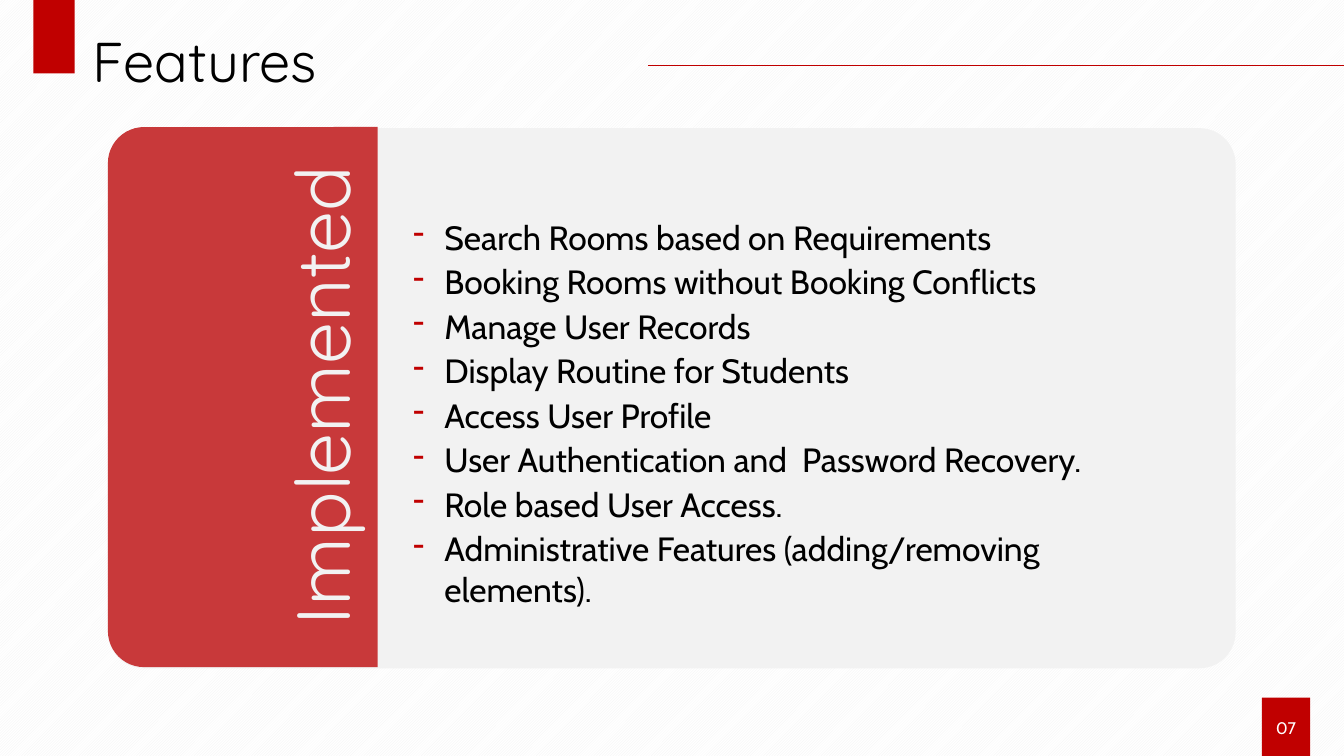
import pptx
import pptx.util
import pptx.dml.color
import pptx.enum.dml
import pptx.enum.shapes
import pptx.enum.text
import pptx.oxml
import pptx.oxml.ns
from lxml import etree

Cm = pptx.util.Cm
Pt = pptx.util.Pt
RGBColor = pptx.dml.color.RGBColor
SHAPE = pptx.enum.shapes.MSO_SHAPE
ALIGN = pptx.enum.text.PP_ALIGN
ANCHOR = pptx.enum.text.MSO_ANCHOR
qn = pptx.oxml.ns.qn

RED = RGBColor(0xC0, 0x00, 0x00)
PANEL_RED = RGBColor(0xC8, 0x39, 0x3A)
LIGHT_GREY = RGBColor(0xF2, 0xF2, 0xF2)
WHITE = RGBColor(0xFF, 0xFF, 0xFF)
BLACK = RGBColor(0x00, 0x00, 0x00)

FEATURES = [
    "Search Rooms based on Requirements",
    "Booking Rooms without Booking Conflicts",
    "Manage User Records",
    "Display Routine for Students",
    "Access User Profile",
    "User Authentication and  Password Recovery.",
    "Role based User Access.",
    "Administrative Features (adding/removing elements).",
]

presentation = pptx.Presentation()
presentation.slide_width = Cm(33.87)
presentation.slide_height = Cm(19.05)
slide = presentation.slides.add_slide(presentation.slide_layouts[6])

background = slide.background.fill
background.patterned()
background.pattern = pptx.enum.dml.MSO_PATTERN.DARK_UPWARD_DIAGONAL
background.fore_color.rgb = LIGHT_GREY
background.back_color.rgb = WHITE


def add_block(kind, left, top, width, height, color):
    shape = slide.shapes.add_shape(kind, Cm(left), Cm(top), Cm(width), Cm(height))
    shape.shadow.inherit = False
    shape.fill.solid()
    shape.fill.fore_color.rgb = color
    shape.line.fill.background()
    return shape


def add_text(left, top, width, height, lines, font, size, color):
    box = slide.shapes.add_textbox(Cm(left), Cm(top), Cm(width), Cm(height))
    frame = box.text_frame
    frame.word_wrap = True
    frame.auto_size = pptx.enum.text.MSO_AUTO_SIZE.SHAPE_TO_FIT_TEXT
    frame.margin_left = frame.margin_top = frame.margin_right = frame.margin_bottom = 0
    for index, line in enumerate(lines):
        paragraph = frame.add_paragraph() if index else frame.paragraphs[0]
        run = paragraph.add_run()
        run.text = line
        run.font.name = font
        run.font.size = Pt(size)
        run.font.color.rgb = color
    return box


title = add_text(2.34, 0.86, 29.21, 1.55, ["Features"], "Quicksand", 40, BLACK)
title.text_frame.paragraphs[0].line_spacing = 0.9

add_block(SHAPE.RECTANGLE, 0.84, 0, 1.04, 1.85, RED)

header_line = slide.shapes.add_connector(
    pptx.enum.shapes.MSO_CONNECTOR.STRAIGHT, Cm(16.33), Cm(1.65), Cm(33.87), Cm(1.65)
)
header_line.line.color.rgb = RED
header_line.line.width = Pt(0.5)
etree.SubElement(header_line._element.spPr, qn("a:effectLst"))

page_tag = add_block(SHAPE.RECTANGLE, 31.8, 17.58, 1.22, 1.52, RED)
page_tag.text_frame.vertical_anchor = ANCHOR.MIDDLE
page_paragraph = page_tag.text_frame.paragraphs[0]
page_paragraph.alignment = ALIGN.CENTER
page_number = page_paragraph.add_run()
page_number.text = "07"
page_number.font.name = "Cabin"
page_number.font.size = Pt(12)
page_number.font.color.rgb = WHITE

card = add_block(SHAPE.ROUNDED_RECTANGLE, 2.72, 3.23, 28.42, 13.61, LIGHT_GREY)
card.adjustments[0] = 0.067

panel_length, panel_depth = 13.61, 6.8
panel = add_block(
    SHAPE.ROUND_2_SAME_RECTANGLE,
    2.72 + (panel_depth - panel_length) / 2,
    3.2 + (panel_length - panel_depth) / 2,
    panel_length,
    panel_depth,
    PANEL_RED,
)
panel.rotation = 270
panel.adjustments[0] = 0.134

panel_label = add_text(1.4, 8.92, 13.61, 2.08, ["Implemented"], "Quicksand", 54, LIGHT_GREY)
panel_label.rotation = 270
panel_label.text_frame.vertical_anchor = ANCHOR.MIDDLE
panel_label.text_frame.paragraphs[0].alignment = ALIGN.CENTER
panel_label.text_frame.paragraphs[0].line_spacing = 0.9

feature_list = add_text(10.41, 5.46, 19.53, 8.97, FEATURES, "Cabin", 24, BLACK)
for paragraph in feature_list.text_frame.paragraphs:
    paragraph.space_before = Pt(3)
    properties = paragraph._p.get_or_add_pPr()
    properties.set("marL", str(Cm(0.79)))
    properties.set("indent", str(-Cm(0.79)))
    bullet_color = etree.SubElement(properties, qn("a:buClr"))
    etree.SubElement(bullet_color, qn("a:srgbClr"), val=str(RED))
    etree.SubElement(properties, qn("a:buChar"), char="-")

presentation.save("out.pptx")
